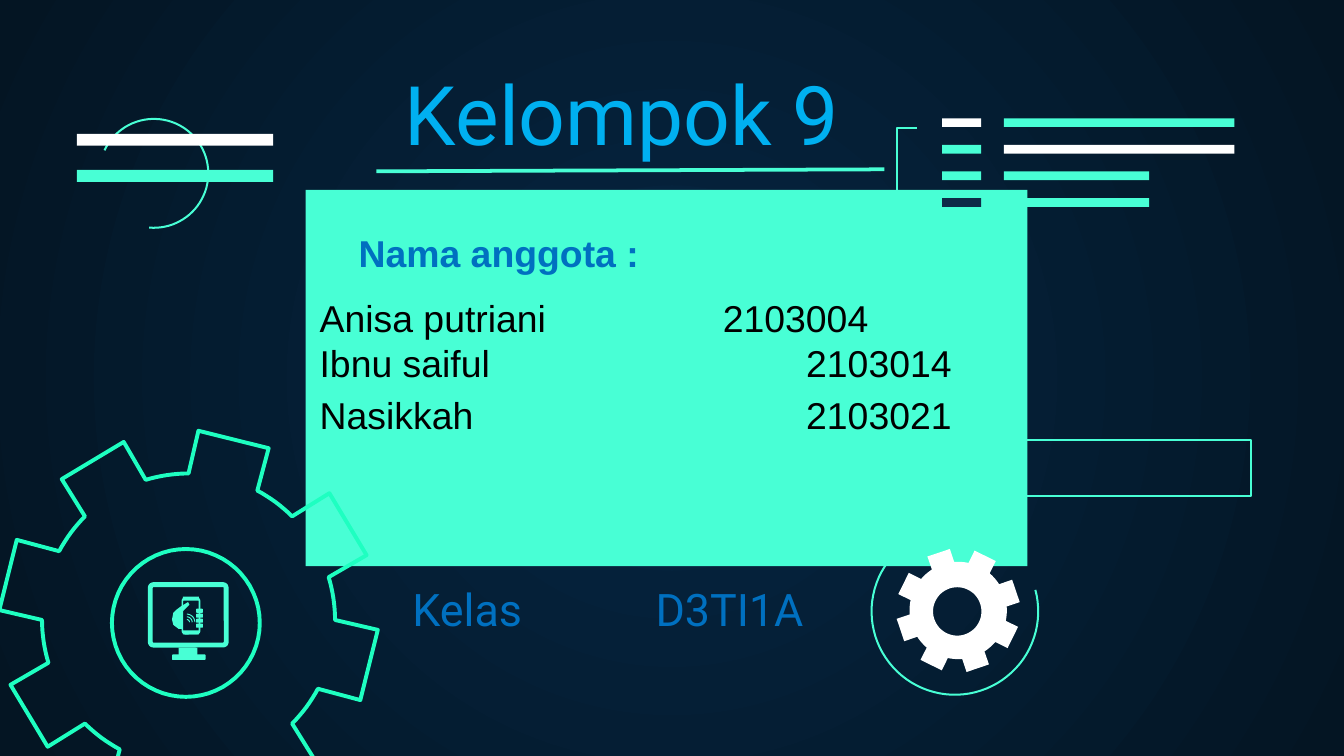
from math import cos, radians, sin

from lxml import etree
from pptx import Presentation
from pptx.dml.color import RGBColor
from pptx.enum.shapes import MSO_CONNECTOR, MSO_SHAPE
from pptx.enum.text import MSO_ANCHOR, PP_ALIGN
from pptx.oxml.ns import qn
from pptx.util import Emu, Inches, Pt

RECT, ROUND = MSO_SHAPE.RECTANGLE, MSO_SHAPE.ROUNDED_RECTANGLE
STRAIGHT = MSO_CONNECTOR.STRAIGHT
TOP, BOTTOM = MSO_ANCHOR.TOP, MSO_ANCHOR.BOTTOM
LEFT, CENTER = PP_ALIGN.LEFT, PP_ALIGN.CENTER

# Grid: 100 columns by 56.25 rows of square cells
CELL = Inches(0.1)
COLS, ROWS = 100, 56.25
MINT, BRIGHT, WHITE, NAVY = "48FFD5", "1EFFC1", "FFFFFF", "0E2A47"
SKY, BLUE, BLACK = "00B0F0", "0070C0", "000000"
THIN = 1.09


def color(hex_value):
    return RGBColor.from_string(hex_value)


def cells(n):
    return Emu(round(n * CELL))


def polar(cx, cy, r, degrees):
    a = radians(degrees)
    return cx + r * cos(a), cy + r * sin(a)


def arc(cx, cy, r, start, end, steps=60):
    return [polar(cx, cy, r, start + (end - start) * i / steps)
            for i in range(steps + 1)]


def gear(cx, cy, outer, root, turn, teeth=8):
    """Outline of a gear whose first tooth points to the angle turn."""
    points = []
    for i in range(teeth):
        mid = turn + i * 360 / teeth
        points += [polar(cx, cy, outer, mid - 11), polar(cx, cy, outer, mid + 11)]
        points += arc(cx, cy, root, mid + 14, mid + 360 / teeth - 14, 8)
    return points


class Deck:
    """Holds the style and the current slide."""

    def __init__(self, prs):
        self.s = prs.slides.add_slide(prs.slide_layouts[6])

    def background(self, inner, outer):
        fill = self.s.background.fill
        fill.gradient()
        for stop, hex_value, at in zip(fill.gradient_stops, (inner, outer), (0, 1)):
            stop.color.rgb = color(hex_value)
            stop.position = at
        grad = self.s.background._cSld.find(".//" + qn("a:gradFill"))
        lin = grad.find(qn("a:lin"))
        circle = etree.Element(qn("a:path"), path="circle")
        etree.SubElement(circle, qn("a:fillToRect"),
                         l="50000", t="50000", r="50000", b="50000")
        grad.replace(lin, circle)

    def paint(self, sp, fill, line, width):
        sp.shadow.inherit = False
        if fill:
            sp.fill.solid()
            sp.fill.fore_color.rgb = color(fill)
        else:
            sp.fill.background()
        if line:
            sp.line.color.rgb = color(line)
            sp.line.width = Pt(width)
        else:
            sp.line.fill.background()
        return sp

    def box(self, x, y, w, h, fill=None, line=None, width=THIN, kind=RECT):
        sp = self.s.shapes.add_shape(kind, *map(cells, (x, y, w, h)))
        return self.paint(sp, fill, line, width)

    def outline(self, *contours, fill=None, line=None, width=THIN, close=False):
        paths = [[(cells(x), cells(y)) for x, y in c] for c in contours]
        builder = self.s.shapes.build_freeform(*paths[0][0], scale=1.0)
        for i, points in enumerate(paths):
            if i:
                builder.move_to(*points[0])
            builder.add_line_segments(points[1:], close=close)
        return self.paint(builder.convert_to_shape(), fill, line, width)

    def rule(self, x1, y1, x2, y2, line, width):
        c = self.s.shapes.add_connector(STRAIGHT, *map(cells, (x1, y1, x2, y2)))
        c.line.color.rgb = color(line)
        c.line.width = Pt(width)
        etree.SubElement(c._element.spPr, qn("a:effectLst"))

    def text(self, x, y, w, h, lines, size, font, hex_value,
             bold=False, anchor=BOTTOM, align=LEFT, tabs=()):
        """One paragraph per line; tabs gives each line its stop in cells."""
        tf = self.s.shapes.add_textbox(*map(cells, (x, y, w, h))).text_frame
        tf.word_wrap = True
        tf.vertical_anchor = anchor
        tf.margin_left = tf.margin_right = cells(1)
        tf.margin_top = tf.margin_bottom = cells(1)
        tf.text = "\n".join(lines)
        for p in tf.paragraphs:
            p.alignment = align
            for r in p.runs:
                r.font.size, r.font.name, r.font.bold = Pt(size), font, bold
                r.font.color.rgb = color(hex_value)
        for p, stop in zip(tf.paragraphs, tabs):
            tab_list = etree.SubElement(p._p.get_or_add_pPr(), qn("a:tabLst"))
            etree.SubElement(tab_list, qn("a:tab"), pos=str(cells(stop)), algn="l")
        return tf


def main():
    prs = Presentation()
    prs.slide_width, prs.slide_height = cells(COLS), cells(ROWS)
    d = Deck(prs)
    d.background("052643", "041523")

    # Main panel
    d.box(22.75, 14.13, 53.7, 28, MINT)

    # Open rings
    d.outline(arc(11.45, 12.9, 4.05, -155, 95), line=MINT)
    d.outline(arc(71.05, 45.5, 6.2, -15, 233), line=MINT)

    # Gears
    d.outline(gear(14.03, 46.13, 14.1, 10.9, 14), arc(13.83, 46.35, 5.5, 0, 360),
              line=BRIGHT, width=2.1, close=True)
    d.outline(gear(71.3, 45.43, 4.62, 3.62, 26.3), arc(71.23, 45.5, 1.8, 0, 360),
              fill=WHITE, close=True)

    # Bars at the right: short and long in each row
    bars = [(WHITE, MINT, 17.15), (MINT, WHITE, 17.15),
            (MINT, MINT, 10.8), (NAVY, MINT, 10.8)]
    for i, (short, long, width) in enumerate(bars):
        y = 8.8 + 1.98 * i
        d.box(70.1, y, 2.9, 0.65, short)
        d.box(74.7, y, width, 0.65, long)
    d.outline([(68.3, 15.6), (66.75, 15.6), (66.75, 9.53), (68.2, 9.53)], line=MINT)

    # Bars at the left
    for y, fill in ((9.97, WHITE), (12.65, MINT)):
        d.box(5.73, y, 14.6, 0.88, fill)

    # Thin frame at the lower right
    d.box(72, 32.75, 21.1, 4.15, line=MINT)

    # Title and its rule
    d.text(19.6, 3.7, 53.4, 15.5, ["Kelompok 9"], 44, "Roboto", SKY,
           anchor=TOP, align=CENTER)
    d.rule(28, 12.75, 65.8, 12.6, MINT, 2)

    # Members and class
    members = d.text(22.8, 26.7, 86.1, 6.8,
                     ["Anisa putriani\t2103004", "Ibnu saiful\t2103014",
                      "Nasikkah\t2103021"],
                     20, "Arial", BLACK, tabs=(30, 36.2, 36.2))
    members.paragraphs[2].space_before = Pt(4)
    d.text(25.7, 19.2, 29.7, 2.3, ["Nama anggota :"], 20, "Arial", BLUE, bold=True)
    d.text(29.7, 33.6, 38.6, 14.7, ["Kelas\tD3TI1A"], 24, "Roboto", BLUE, tabs=(18.1,))

    # Monitor icon
    screen = d.box(11.18, 43.5, 5.65, 4.5, line=MINT, width=2.6, kind=ROUND)
    screen.adjustments[0] = 0.05
    d.box(13.3, 48.2, 1.4, 0.6, MINT)
    d.box(12.8, 48.7, 2.5, 0.4, MINT, kind=ROUND)

    # Phone held by a hand
    d.box(13.57, 44.5, 1.28, 2.65, line=MINT, width=0.9, kind=ROUND)
    for y in (44.4, 46.9):
        d.box(13.6, y, 1.2, 0.3, MINT)
    d.outline([(13.5, 45.1), (14, 44.8), (14.1, 45), (13.6, 45.5), (13.6, 46.8),
               (13.3, 46.8), (12.9, 46.5), (12.8, 46.1), (12.9, 45.6), (13.1, 45.4)],
              fill=MINT, close=True)
    for i in range(4):
        d.box(14.6, 45.3 + 0.37 * i, 0.5, 0.3, MINT, kind=ROUND)
    for r in (0.2, 0.4, 0.6):
        d.outline(arc(13.9, 46.3, r, -90, 0, 10), line=MINT, width=0.5)

    prs.save("out.pptx")


if __name__ == "__main__":
    main()
